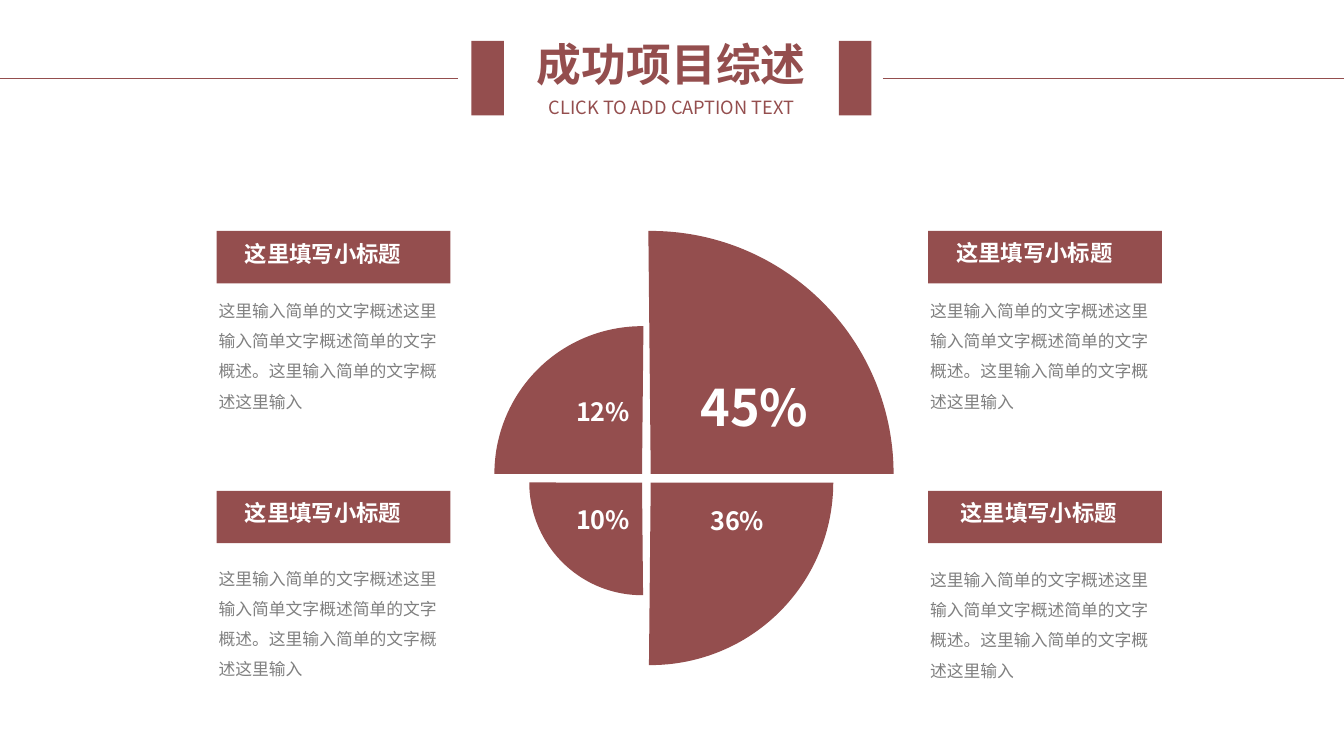
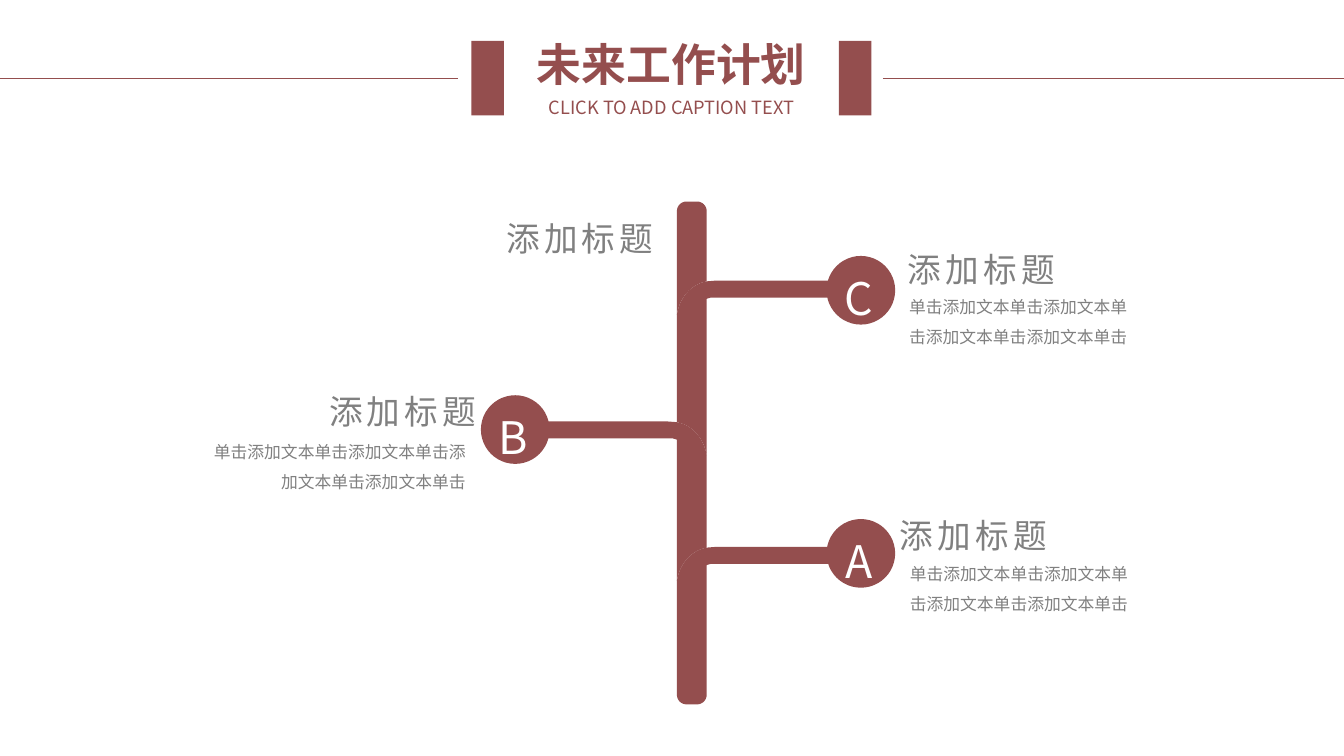
from dataclasses import dataclass
from math import cos, pi, sin

from lxml.etree import SubElement
from pptx import Presentation
from pptx.dml.color import RGBColor
from pptx.enum.shapes import MSO_CONNECTOR, MSO_SHAPE
from pptx.enum.text import MSO_ANCHOR, MSO_AUTO_SIZE, PP_ALIGN
from pptx.oxml.ns import qn
from pptx.shapes.autoshape import Shape
from pptx.slide import Slide
from pptx.util import Cm, Pt

FONT = "Noto Sans CJK SC"
RED, GRAY, WHITE = "944E4E", "808080", "FFFFFF"
SLIDE_WIDTH, SLIDE_HEIGHT = 33.87, 19.05

HUB_X, HUB_Y, HALF_GAP = 16.29, 12.05, 0.11
PIE_SWEEP = 90.56

PANEL_WIDTH, PANEL_HEIGHT = 5.89, 1.32
PANEL_TITLE = "这里填写小标题"
PANEL_BODY = "这里输入简单的文字概述这里输入简单文字概述简单的文字概述。这里输入简单的文字概述这里输入"

TRUNK_LEFT, TRUNK_RIGHT = 17.06, 17.81
TRUNK_TOP, TRUNK_BOTTOM, TRUNK_RADIUS = 5.08, 17.75, 0.24
ARM_LENGTH, ARM_THICKNESS = 3.9, 0.43
CIRCLE_SIZE = 1.73
STATION_TITLE = "添加标题"
STATION_BODY = "单击添加文本单击添加文本单击添加文本单击添加文本单击"

Point = tuple[float, float]


@dataclass(frozen=True)
class Box:
    left: float
    top: float
    width: float
    height: float

    def lengths(self) -> tuple[Cm, Cm, Cm, Cm]:
        return Cm(self.left), Cm(self.top), Cm(self.width), Cm(self.height)


@dataclass(frozen=True)
class TextStyle:
    size: float
    color: str = GRAY
    bold: bool = False
    align: PP_ALIGN = PP_ALIGN.LEFT
    line_spacing: float | Pt | None = None
    character_spacing: int = 0
    inset: tuple[float, float] = (0.25, 0.13)
    anchor: MSO_ANCHOR = MSO_ANCHOR.TOP
    wrap: bool = True


@dataclass(frozen=True)
class Quarter:
    label: str
    radius: float
    side_x: int
    side_y: int
    start: float
    label_box: Box
    label_size: float = 18


@dataclass(frozen=True)
class Panel:
    left: float
    top: float
    title_left: float
    title_top: float
    body_top: float


@dataclass(frozen=True)
class Station:
    letter: str
    side: int
    arm_top: float
    circle_left: float
    circle_top: float
    title_left: float
    title_top: float
    title_align: PP_ALIGN
    body_box: Box
    body_align: PP_ALIGN


HEADING = TextStyle(32, RED, True, PP_ALIGN.CENTER, inset=(0, 0), anchor=MSO_ANCHOR.MIDDLE)
CAPTION = TextStyle(13, RED, False, PP_ALIGN.CENTER, inset=(0, 0), anchor=MSO_ANCHOR.MIDDLE)
PANEL_TITLE_STYLE = TextStyle(16, WHITE, True, PP_ALIGN.JUSTIFY, Pt(16), inset=(0.33, 0.18))
PANEL_BODY_STYLE = TextStyle(12, line_spacing=1.5, inset=(0.33, 0.18))
LETTER_STYLE = TextStyle(32, WHITE, align=PP_ALIGN.CENTER, wrap=False)

QUARTERS = [
    Quarter("10%", 2.84, -1, 1, 180 - PIE_SWEEP, Box(14.27, 12.57, 1.91, 1.02)),
    Quarter("36%", 4.6, 1, 1, 0, Box(17.65, 12.6, 1.91, 1.02)),
    Quarter("12%", 3.72, -1, -1, 180, Box(14.27, 9.86, 1.91, 1.02)),
    Quarter("45%", 6.12, 1, -1, 360 - PIE_SWEEP, Box(17.4, 9.35, 3.3, 1.8), 36),
]

PANELS = [
    Panel(5.46, 5.82, 5.84, 5.99, 7.14),
    Panel(23.39, 5.82, 23.77, 5.97, 7.14),
    Panel(5.46, 12.37, 5.84, 12.52, 13.89),
    Panel(23.39, 12.37, 23.88, 12.52, 13.92),
]

STATIONS = [
    Station("C", 1, 7.07, 20.83, 6.45, 22.63, 6.15, PP_ALIGN.LEFT,
            Box(22.66, 7.09, 6.32, 1.8), PP_ALIGN.LEFT),
    Station("B", -1, 10.62, 12.12, 9.96, 7.95, 9.73, PP_ALIGN.CENTER,
            Box(4.85, 10.74, 7.14, 1.83), PP_ALIGN.RIGHT),
    Station("A", 1, 13.78, 20.83, 13.08, 22.33, 12.85, PP_ALIGN.CENTER,
            Box(22.68, 13.82, 6.32, 1.83), PP_ALIGN.LEFT),
]


def rgb(color: str) -> RGBColor:
    return RGBColor.from_string(color)


def paint(shape: Shape, color: str = RED) -> None:
    shape.shadow.inherit = False
    shape.fill.solid()
    shape.fill.fore_color.rgb = rgb(color)
    shape.line.fill.background()


def add_block(slide: Slide, kind: MSO_SHAPE, box: Box) -> Shape:
    shape = slide.shapes.add_shape(kind, *box.lengths())
    paint(shape)
    return shape


def add_text(slide: Slide, box: Box, text: str, style: TextStyle) -> None:
    text_frame = slide.shapes.add_textbox(*box.lengths()).text_frame
    text_frame.word_wrap = style.wrap
    text_frame.auto_size = MSO_AUTO_SIZE.SHAPE_TO_FIT_TEXT
    text_frame.vertical_anchor = style.anchor
    text_frame.margin_left = text_frame.margin_right = Cm(style.inset[0])
    text_frame.margin_top = text_frame.margin_bottom = Cm(style.inset[1])
    text_frame.text = text
    paragraph = text_frame.paragraphs[0]
    paragraph.alignment = style.align
    if style.line_spacing:
        paragraph.line_spacing = style.line_spacing
    run = paragraph.runs[0]
    run.font.size = Pt(style.size)
    run.font.bold = style.bold
    run.font.color.rgb = rgb(style.color)
    run.font.name = FONT
    properties = run._r.get_or_add_rPr()
    SubElement(properties, qn("a:ea")).set("typeface", FONT)
    if style.character_spacing:
        properties.set("spc", str(style.character_spacing))


def add_rule(slide: Slide, start: float, end: float, top: float) -> None:
    connector = slide.shapes.add_connector(
        MSO_CONNECTOR.STRAIGHT, Cm(start), Cm(top), Cm(end), Cm(top))
    connector.line.color.rgb = rgb(RED)
    connector.line.width = Pt(0.5)
    SubElement(connector._element.spPr, qn("a:effectLst"))


def add_header(slide: Slide, title: str) -> None:
    add_text(slide, Box(12.4, 0.91, 9.04, 1.37), title, HEADING)
    add_text(slide, Box(12.4, 2.41, 9.04, 0.56), "CLICK TO ADD CAPTION TEXT", CAPTION)
    for left in (11.88, 21.14):
        add_block(slide, MSO_SHAPE.RECTANGLE, Box(left, 1.03, 0.82, 1.88))
    for start, end in ((0, 11.53), (22.25, SLIDE_WIDTH)):
        add_rule(slide, start, end, 1.98)


def add_quarter(slide: Slide, quarter: Quarter) -> None:
    left = HUB_X + quarter.side_x * HALF_GAP - quarter.radius
    top = HUB_Y + quarter.side_y * HALF_GAP - quarter.radius
    pie = add_block(slide, MSO_SHAPE.PIE, Box(left, top, 2 * quarter.radius, 2 * quarter.radius))
    for index, angle in enumerate((quarter.start, quarter.start + PIE_SWEEP)):
        pie.adjustments[index] = angle % 360 * 0.6


def add_panel(slide: Slide, panel: Panel) -> None:
    add_block(slide, MSO_SHAPE.RECTANGLE,
              Box(panel.left, panel.top, PANEL_WIDTH, PANEL_HEIGHT))
    add_text(slide, Box(panel.title_left, panel.title_top, 5.13, 0.91),
             PANEL_TITLE, PANEL_TITLE_STYLE)
    add_text(slide, Box(panel.left - 0.28, panel.body_top, 6.55, 3.43),
             PANEL_BODY, PANEL_BODY_STYLE)


def add_outline(slide: Slide, points: list[Point]) -> None:
    corners = [(Cm(x), Cm(y)) for x, y in points]
    builder = slide.shapes.build_freeform(*corners[0])
    builder.add_line_segments(corners[1:], close=True)
    paint(builder.convert_to_shape())


def curve(controls: list[Point], steps: int = 16) -> list[Point]:
    points = []
    for step in range(steps + 1):
        t = step / steps
        weights = ((1 - t) ** 3, 3 * t * (1 - t) ** 2, 3 * t * t * (1 - t), t ** 3)
        points.append((sum(w * x for w, (x, _) in zip(weights, controls)),
                       sum(w * y for w, (_, y) in zip(weights, controls))))
    return points


def trunk_cap(top: float, direction: int) -> list[Point]:
    angles = [step * pi / 16 for step in range(9)]
    center_y = top + direction * TRUNK_RADIUS
    left_arc = [(TRUNK_LEFT + TRUNK_RADIUS * (1 - cos(angle)),
                 center_y - direction * TRUNK_RADIUS * sin(angle)) for angle in angles]
    return left_arc + [(TRUNK_LEFT + TRUNK_RIGHT - x, y) for x, y in reversed(left_arc)]


def near_edge(station: Station) -> float:
    return TRUNK_RIGHT if station.side > 0 else TRUNK_LEFT


def shoulder(station: Station) -> list[Point]:
    offsets = ((0, 0.02), (0.51, 0.12), (0.71, 0.58), (0.75, 0.86))
    return sorted(curve([(near_edge(station) - station.side * x, station.arm_top + y)
                         for x, y in offsets]))


def arm(station: Station) -> list[Point]:
    offsets = ((0.25, 0), (ARM_LENGTH, 0), (ARM_LENGTH, ARM_THICKNESS),
               (0.22, ARM_THICKNESS), (0.1, ARM_THICKNESS), (0, ARM_THICKNESS + 0.03))
    return [(near_edge(station) + station.side * x, station.arm_top + y) for x, y in offsets]


def add_tree(slide: Slide) -> None:
    shoulders = [shoulder(station) for station in STATIONS]
    add_outline(slide, trunk_cap(TRUNK_TOP, 1) + shoulders[0][::-1])
    lower_edges = shoulders[1:] + [trunk_cap(TRUNK_BOTTOM, -1)]
    for station, upper, lower in zip(STATIONS, shoulders, lower_edges):
        add_outline(slide, upper[::station.side] + arm(station) + lower[::-station.side])


def add_station_title(slide: Slide, left: float, top: float, align: PP_ALIGN) -> None:
    style = TextStyle(24, align=align, character_spacing=300, wrap=False)
    add_text(slide, Box(left, top, 4.39, 1.3), STATION_TITLE, style)


def add_station(slide: Slide, station: Station) -> None:
    add_station_title(slide, station.title_left, station.title_top, station.title_align)
    add_text(slide, station.body_box, STATION_BODY,
             TextStyle(12, align=station.body_align, line_spacing=1.5))
    add_block(slide, MSO_SHAPE.OVAL,
              Box(station.circle_left, station.circle_top, CIRCLE_SIZE, CIRCLE_SIZE))
    add_text(slide, Box(station.circle_left - 0.04, station.circle_top + 0.24, CIRCLE_SIZE, 1.63),
             station.letter, LETTER_STYLE)


def build_summary(slide: Slide) -> None:
    add_header(slide, "成功项目综述")
    for quarter in QUARTERS:
        add_quarter(slide, quarter)
    for panel in PANELS:
        add_panel(slide, panel)
    for quarter in QUARTERS:
        add_text(slide, quarter.label_box, quarter.label,
                 TextStyle(quarter.label_size, WHITE, True, wrap=False))


def build_plan(slide: Slide) -> None:
    add_header(slide, "未来工作计划")
    add_tree(slide)
    for station in STATIONS:
        add_station(slide, station)
    add_station_title(slide, 12.42, 5.36, PP_ALIGN.CENTER)


def main() -> None:
    presentation = Presentation()
    presentation.slide_width = Cm(SLIDE_WIDTH)
    presentation.slide_height = Cm(SLIDE_HEIGHT)
    for build in (build_summary, build_plan):
        build(presentation.slides.add_slide(presentation.slide_layouts[6]))
    presentation.save("out.pptx")


if __name__ == "__main__":
    main()
